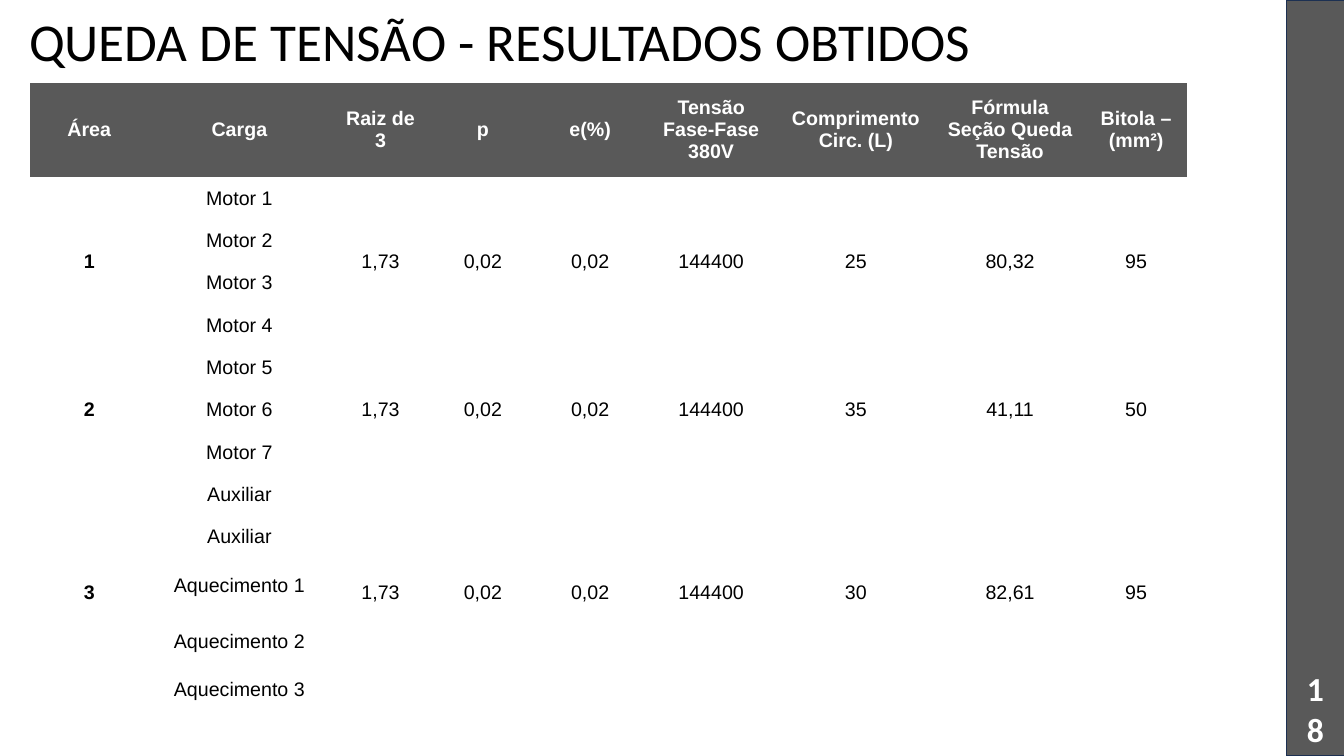
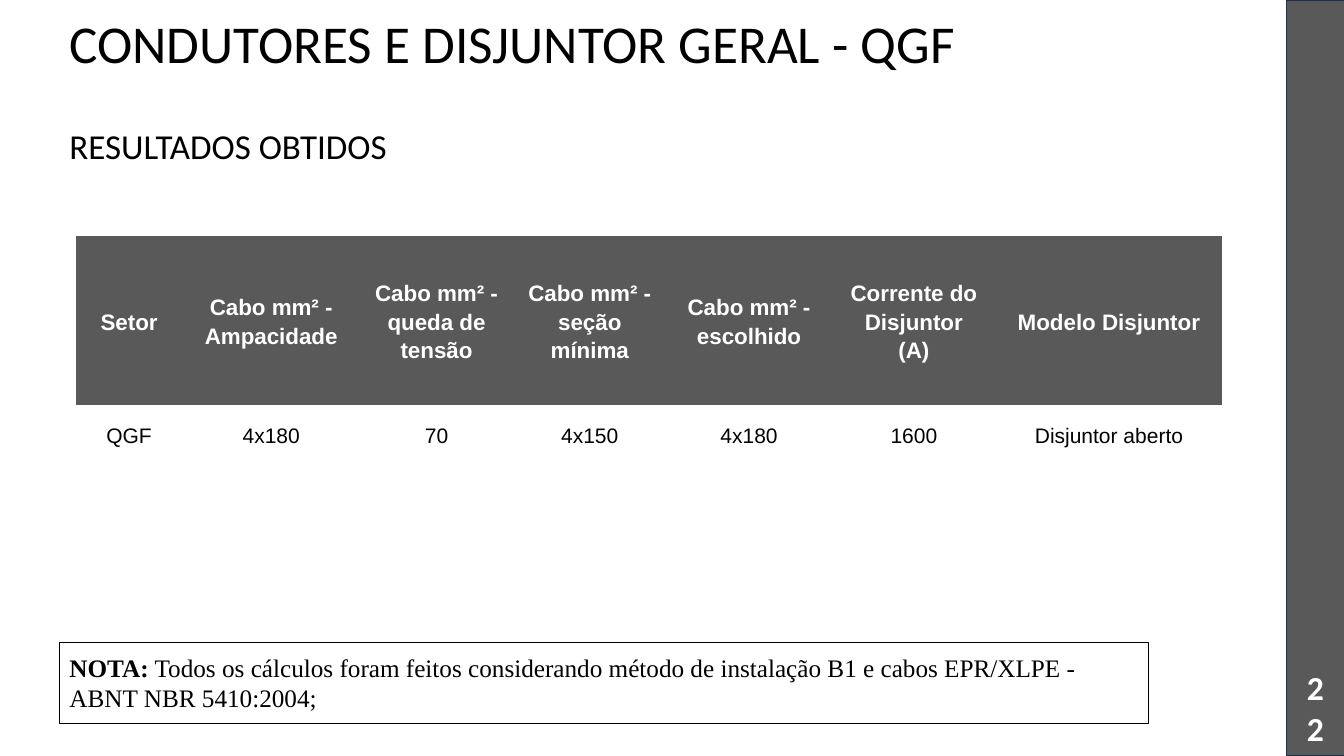
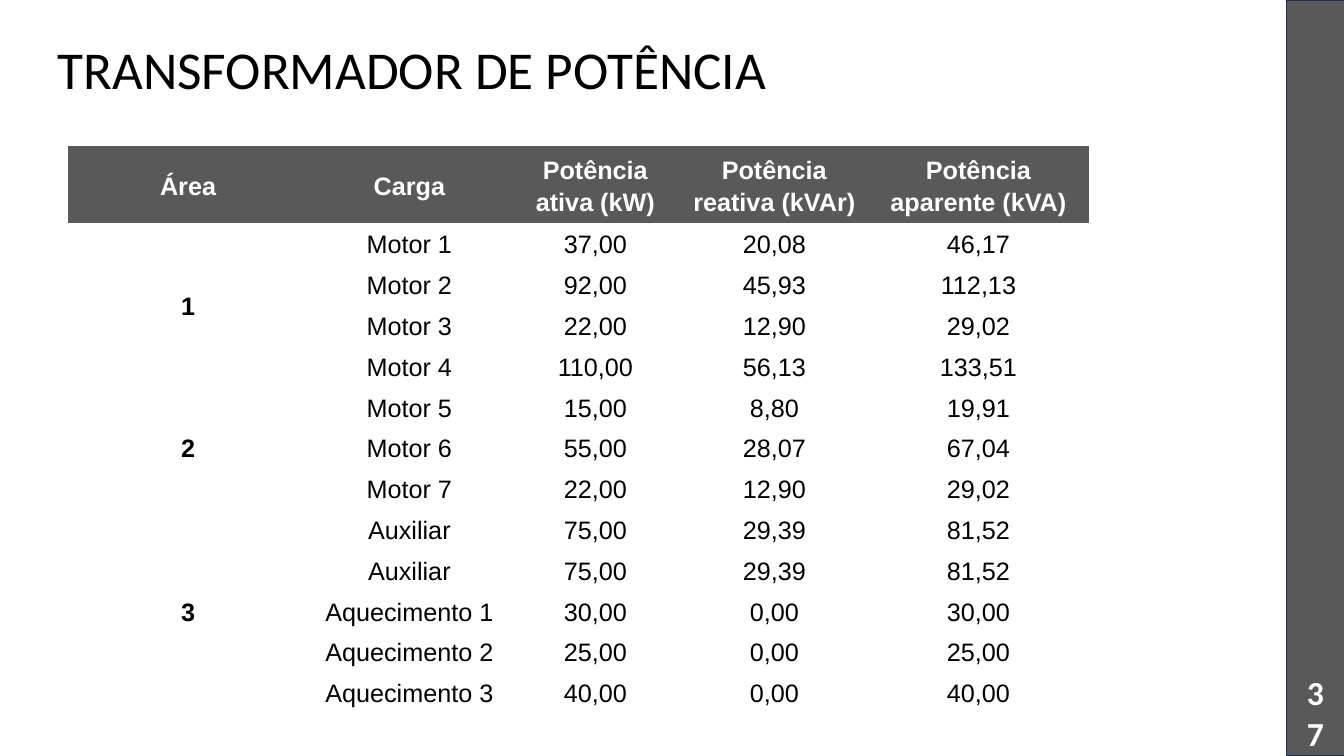
from dataclasses import dataclass
from typing import Any

from pptx import Presentation
from pptx.dml.color import RGBColor
from pptx.enum.shapes import MSO_SHAPE
from pptx.enum.text import MSO_ANCHOR, PP_ALIGN
from pptx.util import Inches, Pt

WIDE, HIGH = Inches(13.33), Inches(7.5)
INK = {"band": "595959", "edge": "1C3052", "text": "000000", "light": "FFFFFF"}
PLAIN = "{2D5ABB26-0587-4C30-8999-92F81FD0307C}"
SIDES = ("margin_left", "margin_top", "margin_right", "margin_bottom")


@dataclass(frozen=True)
class Box:
    """A place on the slide, in percent of its width and height."""
    left: float
    top: float
    wide: float
    high: float

    def place(self) -> tuple[int, int, int, int]:
        """Give the place in slide units."""
        return (int(WIDE * self.left / 100), int(HIGH * self.top / 100),
                int(WIDE * self.wide / 100), int(HIGH * self.high / 100))


@dataclass(frozen=True)
class Area:
    """A group of loads that shares one area number."""
    name: str
    loads: tuple[str, ...]
    drop: tuple[str, ...]


@dataclass(frozen=True)
class Grid:
    """A table with relative column and row sizes and its text format."""
    box: Box
    cols: list[float]
    rows: list[float]
    cells: list[list[str]]
    head: float
    body: float
    pad: tuple[float, float]
    space: float = 1.0


AREAS = (
    Area("1", ("Motor 1", "Motor 2", "Motor 3", "Motor 4"),
         ("1,73", "0,02", "0,02", "144400", "25", "80,32", "95")),
    Area("2", ("Motor 5", "Motor 6", "Motor 7"),
         ("1,73", "0,02", "0,02", "144400", "35", "41,11", "50")),
    Area("3", ("Auxiliar", "Auxiliar", "Aquecimento 1", "Aquecimento 2", "Aquecimento 3"),
         ("1,73", "0,02", "0,02", "144400", "30", "82,61", "95")),
)
POWER = (
    ("37,00", "20,08", "46,17"), ("92,00", "45,93", "112,13"),
    ("22,00", "12,90", "29,02"), ("110,00", "56,13", "133,51"),
    ("15,00", "8,80", "19,91"), ("55,00", "28,07", "67,04"),
    ("22,00", "12,90", "29,02"), ("75,00", "29,39", "81,52"),
    ("75,00", "29,39", "81,52"), ("30,00", "0,00", "30,00"),
    ("25,00", "0,00", "25,00"), ("40,00", "0,00", "40,00"),
)


def tint(name: str) -> RGBColor:
    """Look up a colour by name."""
    return RGBColor.from_string(INK[name])


def inset(part: Any, pad: tuple[float, float]) -> None:
    """Set the side and the top and bottom margins of a frame or cell."""
    for side, size in zip(SIDES, pad * 2):
        setattr(part, side, Inches(size))


def write(frame: Any, text: str, *, size: float, font: str = "Calibri", ink: str = "text",
          bold: bool = False, lead: str = "", align: PP_ALIGN = PP_ALIGN.LEFT,
          space: float = 1.0, after: float = 0) -> None:
    """Fill a frame with text, one paragraph a line, after an optional bold lead."""
    frame.word_wrap = True
    for num, line in enumerate(text.split("\n")):
        para = frame.add_paragraph() if num else frame.paragraphs[0]
        para.alignment, para.line_spacing = align, space
        para.space_after = Pt(after)
        parts = [(line, bold)]
        if lead and not num:
            parts.insert(0, (lead, True))
        for part, heavy in parts:
            run = para.add_run()
            run.text = part
            run.font.name, run.font.size, run.font.bold = font, Pt(size), heavy
            run.font.color.rgb = tint(ink)


def label(slide: Any, box: Box, text: str, *, pad: tuple[float, float] = (0.1, 0.05),
          anchor: MSO_ANCHOR = MSO_ANCHOR.TOP, **form: Any) -> None:
    """Add a text box."""
    frame = slide.shapes.add_textbox(*box.place()).text_frame
    inset(frame, pad)
    frame.vertical_anchor = anchor
    write(frame, text, **form)


def panel(slide: Any, box: Box, *, fill: str = "", edge: str, width: float) -> Any:
    """Add a rectangle, empty unless a fill is named."""
    rect = slide.shapes.add_shape(MSO_SHAPE.RECTANGLE, *box.place())
    rect.shadow.inherit = False
    if fill:
        rect.fill.solid()
        rect.fill.fore_color.rgb = tint(fill)
    else:
        rect.fill.background()
    rect.line.color.rgb, rect.line.width = tint(edge), Pt(width)
    return rect


def start(deck: Any, title: str, box: Box, page: str, top: float) -> Any:
    """Add a slide with its title, side band and page number."""
    slide = deck.slides.add_slide(deck.slide_layouts[6])
    label(slide, box, title, size=38, space=0.9)
    panel(slide, Box(95.72, 0, 4.3, 100), fill="band", edge="edge", width=1)
    label(slide, Box(95.95, top, 3.83, 8), page, size=24, ink="light", bold=True,
          align=PP_ALIGN.CENTER, anchor=MSO_ANCHOR.MIDDLE)
    return slide


def merge(table: Any, cols: list[int]) -> None:
    """Join the cells of each area down the given columns."""
    row = 1
    for area in AREAS:
        last = row + len(area.loads) - 1
        for col in cols:
            table.cell(row, col).merge(table.cell(last, col))
        row = last + 1


def draw(slide: Any, grid: Grid, joined: list[int]) -> None:
    """Add a table with a dark head row."""
    left, top, wide, high = grid.box.place()
    shape = slide.shapes.add_table(len(grid.rows), len(grid.cols), left, top, wide, high)
    table = shape.table
    for node in shape._element.iter("{*}tableStyleId"):
        node.text = PLAIN
    table.horz_banding = table.first_row = False
    for col, part in zip(table.columns, grid.cols):
        col.width = int(wide * part / sum(grid.cols))
    for row, part in zip(table.rows, grid.rows):
        row.height = int(high * part / sum(grid.rows))
    merge(table, joined)
    for y, line in enumerate(grid.cells):
        for x, text in enumerate(line):
            cell = table.cell(y, x)
            cell.fill.background()
            if cell.is_spanned:
                inset(cell, (0, 0))
                continue
            inset(cell, grid.pad)
            cell.vertical_anchor = MSO_ANCHOR.MIDDLE
            if not y:
                cell.fill.solid()
                cell.fill.fore_color.rgb = tint("band")
            write(cell.text_frame, text, font="Arial", align=PP_ALIGN.CENTER,
                  size=grid.body if y else grid.head, ink="text" if y else "light",
                  bold=not y or (x == 0 and bool(joined)), space=grid.space)


def drop(deck: Any) -> None:
    """Build the voltage drop slide."""
    slide = start(deck, "QUEDA DE TENSÃO - RESULTADOS OBTIDOS",
                  Box(1.43, 1.47, 83.65, 14.27), "18", 89.73)
    cells = [["Área", "Carga", "Raiz de 3", "p", "e(%)", "Tensão Fase-Fase 380V",
              "Comprimento Circ. (L)", "Fórmula Seção Queda Tensão", "Bitola – (mm²)"]]
    cells += [[area.name, load, *area.drop] for area in AREAS for load in area.loads]
    draw(slide, Grid(Box(2.25, 10.93, 86.05, 83.2),
                     [1.17, 1.81, 0.99, 1.04, 1.09, 1.31, 1.56, 1.5, 1],
                     [0.94] + [0.42] * 9 + [0.55] * 2 + [0.42],
                     cells, 14, 14, (0.1, 0.08)), [0, *range(2, 9)])


def main_board(deck: Any) -> None:
    """Build the main cables and breaker slide."""
    slide = start(deck, "CONDUTORES E DISJUNTOR GERAL - QGF",
                  Box(4.43, 1.73, 77.19, 14.27), "22", 89.6)
    label(slide, Box(4.43, 15.07, 79.22, 8.27), "RESULTADOS OBTIDOS", size=25,
          pad=(0.1, 0.1), align=PP_ALIGN.JUSTIFY, after=8)
    cells = [["Setor", "Cabo mm² - Ampacidade", "Cabo mm² - queda de tensão",
              "Cabo mm² - seção mínima", "Cabo mm² - escolhido",
              "Corrente do Disjuntor\n(A)", "Modelo Disjuntor"],
             ["QGF", "4x180", "70", "4x150", "4x180", "1600", "Disjuntor aberto"]]
    draw(slide, Grid(Box(5.63, 31.2, 85.3, 30.27),
                     [1.06, 1.76, 1.52, 1.52, 1.64, 1.63, 2.24], [1.68, 0.59],
                     cells, 16, 15, (0.07, 0), 1.15), [])
    note = panel(slide, Box(4.43, 84.93, 81.02, 10.8), edge="text", width=0.75).text_frame
    inset(note, (0.1, 0.1))
    note.vertical_anchor = MSO_ANCHOR.TOP
    write(note, " Todos os cálculos foram feitos considerando método de instalação B1 "
          "e cabos EPR/XLPE - ABNT NBR 5410:2004;", lead="NOTA:", size=18,
          font="Times New Roman")


def power(deck: Any) -> None:
    """Build the power transformer slide."""
    slide = start(deck, "TRANSFORMADOR DE POTÊNCIA",
                  Box(3.53, 5.07, 86.12, 14.27), "37", 90.27)
    cells = [["Área", "Carga", "Potência ativa (kW)", "Potência reativa (kVAr)",
              "Potência aparente (kVA)"]]
    loads = [(area.name, load) for area in AREAS for load in area.loads]
    cells += [[*load, *vals] for load, vals in zip(loads, POWER)]
    draw(slide, Grid(Box(5.03, 19.33, 75.99, 74.93), [2.39, 2, 1.69, 1.86, 2.19],
                     [76] + [40.5] * 12, cells, 18, 18, (0.07, 0), 1.15), [0])


def main() -> None:
    """Build and save the deck."""
    deck = Presentation()
    deck.slide_width, deck.slide_height = WIDE, HIGH
    for build in (drop, main_board, power):
        build(deck)
    deck.save("out.pptx")


if __name__ == "__main__":
    main()
